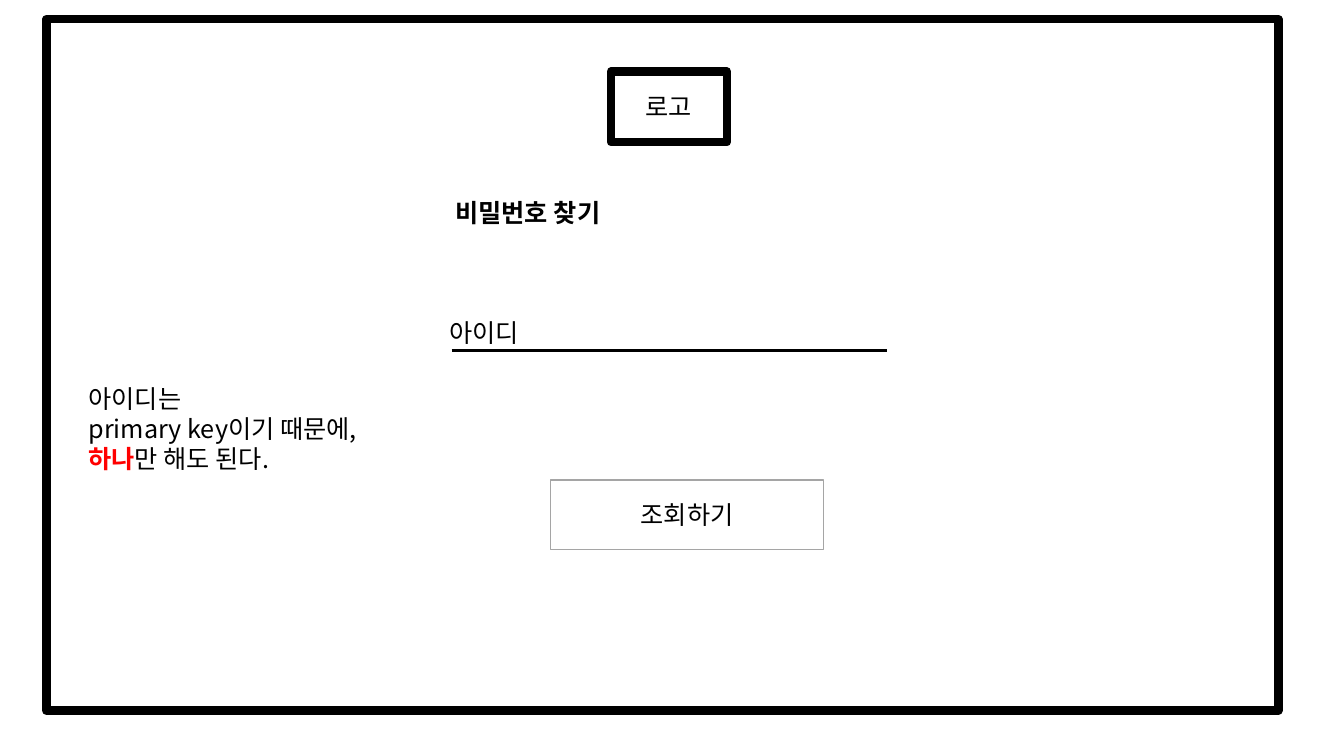
from dataclasses import dataclass

from lxml import etree
from pptx import Presentation
from pptx import util as u
from pptx.dml.color import RGBColor
from pptx.enum import shapes, text
from pptx.oxml import ns


@dataclass(frozen=True)
class Theme:
    font: str = "Noto Sans CJK KR"
    size: float = 18
    ink: str = "000000"
    paper: str = "FFFFFF"
    accent: str = "FF0000"
    button_line: str = "A5A5A5"
    frame_width: float = 6
    field_width: float = 2.25
    button_width: float = 1


class Wireframe:
    """Draws on one slide; all lengths are percentages of its size."""

    def __init__(self, deck, theme):
        self.deck = deck
        self.theme = theme
        self.page = deck.slides.add_slide(deck.slide_layouts[6])

    def place(self, *shares):
        sides = (self.deck.slide_width, self.deck.slide_height)
        return [round(share / 100 * sides[i % 2]) for i, share in enumerate(shares)]

    def fill_text(self, shape, paragraphs, align):
        frame = shape.text_frame
        frame.word_wrap = True
        for index, spans in enumerate(paragraphs):
            para = frame.add_paragraph() if index else frame.paragraphs[0]
            para.alignment = align
            for words, color, bold in spans:
                span = para.add_run()
                span.text = words
                span.font.size = u.Pt(self.theme.size)
                span.font.bold = bold
                span.font.color.rgb = RGBColor.from_string(color)
                span.font.name = self.theme.font
                east_asian = etree.SubElement(span.font._element, ns.qn("a:ea"))
                east_asian.set("typeface", self.theme.font)

    def stroke(self, line, color, width):
        line.color.rgb = RGBColor.from_string(color)
        line.width = u.Pt(width)

    def box(self, area, color, width, fill=None, label=None):
        box = self.page.shapes.add_shape(
            shapes.MSO_SHAPE.RECTANGLE, *self.place(*area))
        box.shadow.inherit = False
        self.stroke(box.line, color, width)
        if fill:
            box.fill.solid()
            box.fill.fore_color.rgb = RGBColor.from_string(fill)
        else:
            box.fill.background()
        if label:
            box.text_frame.vertical_anchor = text.MSO_ANCHOR.MIDDLE
            self.fill_text(box, [[(label, self.theme.ink, False)]],
                           text.PP_ALIGN.CENTER)

    def words(self, area, paragraphs, align=text.PP_ALIGN.LEFT):
        box = self.page.shapes.add_textbox(*self.place(*area))
        self.fill_text(box, paragraphs, align)
        box.text_frame.auto_size = text.MSO_AUTO_SIZE.SHAPE_TO_FIT_TEXT

    def rule(self, left, right, row):
        line = self.page.shapes.add_connector(
            shapes.MSO_CONNECTOR.STRAIGHT, *self.place(left, row, right, row))
        self.stroke(line.line, self.theme.ink, self.theme.field_width)
        etree.SubElement(line._element.spPr, ns.qn("a:effectLst"))


def main():
    deck = Presentation()
    deck.slide_width, deck.slide_height = u.Inches(13.33), u.Inches(7.5)
    theme = Theme()
    screen = Wireframe(deck, theme)

    # Screen border and logo slot
    screen.box((3.45, 2.53, 91.67, 91.47), theme.ink, theme.frame_width)
    screen.box((45.46, 9.47, 8.63, 9.33), theme.ink, theme.frame_width, label="로고")

    # ID field
    screen.words((32.71, 41.33, 20.33, 5.33), [[("아이디", theme.ink, False)]])
    screen.rule(33.61, 66.02, 46.4)

    # Submit button
    screen.box((40.96, 63.47, 20.33, 9.2), theme.button_line, theme.button_width,
               fill=theme.paper, label="조회하기")

    # Heading
    screen.words((24.16, 25.47, 30.23, 5.33),
                 [[("비밀번호 찾기", theme.ink, True)]], text.PP_ALIGN.CENTER)

    # Side note
    screen.words((5.85, 50, 25.73, 13.2), [
        [("아이디는", theme.ink, False)],
        [("primary key이기 때문에,", theme.ink, False)],
        [("하나", theme.accent, True), ("만 해도 된다.", theme.ink, False)],
    ])

    deck.save("out.pptx")


if __name__ == "__main__":
    main()
